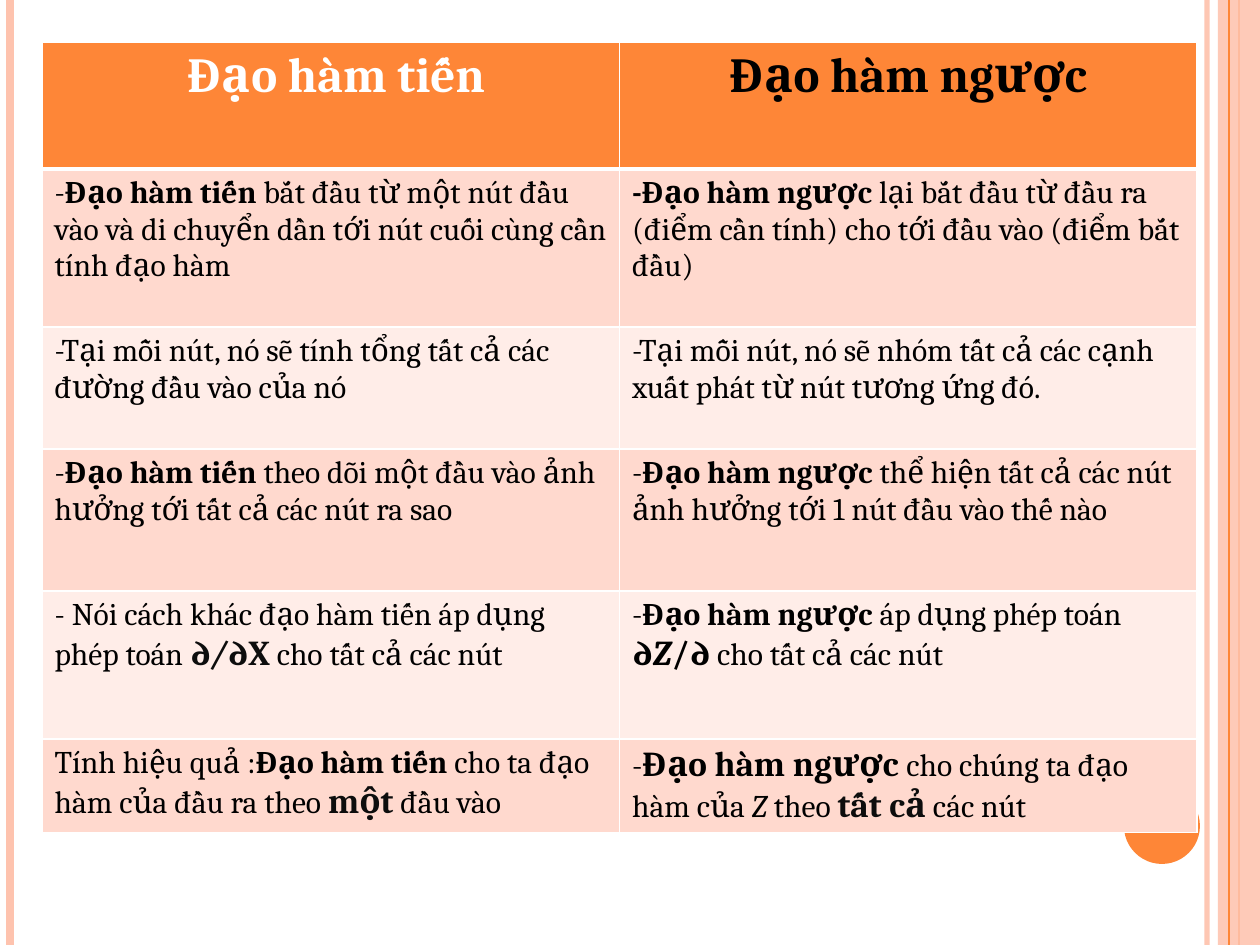
from lxml.etree import SubElement
from pptx import Presentation
from pptx.dml.color import RGBColor
from pptx.enum.shapes import MSO_CONNECTOR, MSO_SHAPE
from pptx.enum.text import PP_ALIGN
from pptx.oxml.ns import qn
from pptx.util import Emu, Pt

PX_PER_INCH = 126
SLIDE_W, SLIDE_H = 1260, 945
FONT = "Cambria"

ORANGE = RGBColor(0xFE, 0x86, 0x37)
PEACH = RGBColor(0xFE, 0xC3, 0xAE)
BAND_DARK = RGBColor(0xFF, 0xD9, 0xCE)
BAND_LIGHT = RGBColor(0xFF, 0xED, 0xE8)
WHITE = RGBColor(0xFF, 0xFF, 0xFF)
BLACK = RGBColor(0, 0, 0)
NEAR_BLACK = RGBColor(0x0D, 0x0D, 0x0D)

# Run styles: size, bold, italic, colour
PLAIN = (18, False, False, BLACK)
BOLD = (18, True, False, BLACK)
ITALIC = (18, False, True, BLACK)
LARGE = (20, True, False, BLACK)
LARGE_ITALIC = (20, True, True, BLACK)
DARK = (20, True, False, NEAR_BLACK)
DARK_ITALIC = (20, True, True, NEAR_BLACK)
HEAD_WHITE = (28, True, False, WHITE)
HEAD_BLACK = (28, True, False, BLACK)

ROW_HEIGHTS = [127, 158, 122, 142, 148, 93]
FORWARD, REVERSE = "Đạo hàm tiến", "Đạo hàm ngược"

# Each row: runs of the forward cell, runs of the reverse cell
ROWS = [
    ([(" ", (28, False, False, WHITE)), (FORWARD, HEAD_WHITE)],
     [(REVERSE, HEAD_BLACK)]),
    ([("-", PLAIN), (FORWARD, BOLD),
      (" bắt đầu từ một nút đầu vào và di chuyển dần tới nút cuối cùng "
       "cần tính đạo hàm", PLAIN)],
     [("-" + REVERSE, BOLD),
      (" lại bắt đầu từ đầu ra (điểm cần tính) cho tới đầu vào "
       "(điểm bắt đầu)", PLAIN)]),
    ([("-Tại mỗi nút, nó sẽ tính tổng tất cả các đường đầu vào của nó", PLAIN)],
     [("-Tại mỗi nút, nó sẽ nhóm tất cả các cạnh xuất phát từ nút "
       "tương ứng đó.", PLAIN)]),
    ([("-", PLAIN), (FORWARD, BOLD),
      (" theo dõi một đầu vào ảnh hưởng tới tất cả các nút ra sao", PLAIN)],
     [("-", PLAIN), (REVERSE, BOLD),
      (" thể hiện tất cả các nút ảnh hưởng tới 1 nút đầu vào thế nào", PLAIN)]),
    ([("- Nói cách khác đạo hàm tiến áp dụng phép toán ", PLAIN),
      ("∂", DARK), ("/", DARK_ITALIC), ("∂X", DARK),
      (" cho tất cả các nút", PLAIN)],
     [("-", PLAIN), (REVERSE, BOLD), (" áp dụng phép toán ", PLAIN),
      ("∂", LARGE), ("Z", LARGE_ITALIC), ("/∂", LARGE),
      (" cho tất cả các nút", PLAIN)]),
    ([("Tính hiệu quả :", PLAIN), (FORWARD + " ", BOLD),
      ("cho ta đạo hàm của đầu ra theo ", PLAIN), ("một", DARK),
      (" đầu vào", PLAIN)],
     [("-", PLAIN), (REVERSE + " ", LARGE),
      ("cho chúng ta đạo hàm của ", PLAIN), ("Z", ITALIC),
      (" theo ", PLAIN), ("tất cả", DARK), (" các nút", PLAIN)]),
]


def px(length):
    return Emu(round(length * 914400 / PX_PER_INCH))


def set_alpha(properties, percent):
    color = next(properties.iter(qn("a:srgbClr")))
    SubElement(color, qn("a:alpha"), val=str(percent * 1000))


def add_stripe(slide, x, height, color, width, alpha=100):
    stripe = slide.shapes.add_connector(
        MSO_CONNECTOR.STRAIGHT, px(x), 0, px(x), px(height))
    stripe.line.color.rgb = color
    stripe.line.width = Pt(width)
    properties = stripe._element.spPr
    if alpha < 100:
        set_alpha(properties, alpha)
    SubElement(properties, qn("a:effectLst"))


def add_solid(slide, kind, left, top, width, height, color):
    solid = slide.shapes.add_shape(kind, px(left), px(top), px(width), px(height))
    solid.shadow.inherit = False
    solid.fill.solid()
    solid.fill.fore_color.rgb = color
    solid.line.fill.background()
    return solid


def add_side_decoration(slide, width, height):
    add_stripe(slide, width - 53, height, PEACH, 3, alpha=93)
    add_stripe(slide, 10, height, PEACH, 4.5)
    add_stripe(slide, width - 21, height, ORANGE, 1.5)
    band = add_solid(slide, MSO_SHAPE.RECTANGLE, width - 42, 0, 42, height, PEACH)
    set_alpha(band._element.spPr, 87)
    add_stripe(slide, width - 31, height, ORANGE, 0.75)
    add_solid(slide, MSO_SHAPE.OVAL, width - 136, height - 157, 76, 76, ORANGE)


def set_borders(cell, top, bottom):
    properties = cell._tc.get_or_add_tcPr()
    for side, width in (("L", 1), ("R", 1), ("T", top), ("B", bottom)):
        border = SubElement(properties, qn("a:ln" + side), w=str(Pt(width)))
        fill = SubElement(border, qn("a:solidFill"))
        SubElement(fill, qn("a:srgbClr"), val=str(WHITE))


def fill_cell(cell, runs, color):
    cell.fill.solid()
    cell.fill.fore_color.rgb = color
    paragraph = cell.text_frame.paragraphs[0]
    for text, (size, bold, italic, font_color) in runs:
        run = paragraph.add_run()
        run.text = text
        run.font.name = FONT
        run.font.size = Pt(size)
        run.font.bold = bold
        run.font.italic = italic
        run.font.color.rgb = font_color
    return paragraph


def add_comparison(slide, left, top, width):
    comparison = slide.shapes.add_table(
        len(ROWS), 2, px(left), px(top), px(width), px(sum(ROW_HEIGHTS))).table
    for column in comparison.columns:
        column.width = px(width / 2)
    for index, (height, row) in enumerate(zip(ROW_HEIGHTS, ROWS)):
        comparison.rows[index].height = px(height)
        is_header = index == 0
        band = BAND_DARK if index % 2 else BAND_LIGHT
        for side, runs in enumerate(row):
            cell = comparison.cell(index, side)
            set_borders(cell, top=3 if index == 1 else 1,
                        bottom=3 if is_header else 1)
            paragraph = fill_cell(cell, runs, ORANGE if is_header else band)
            if is_header:
                paragraph.alignment = PP_ALIGN.CENTER


def main():
    presentation = Presentation()
    presentation.slide_width = px(SLIDE_W)
    presentation.slide_height = px(SLIDE_H)
    slide = presentation.slides.add_slide(presentation.slide_layouts[6])
    add_side_decoration(slide, SLIDE_W, SLIDE_H)
    add_comparison(slide, 42, 42, 1155)
    presentation.save("out.pptx")


if __name__ == "__main__":
    main()
